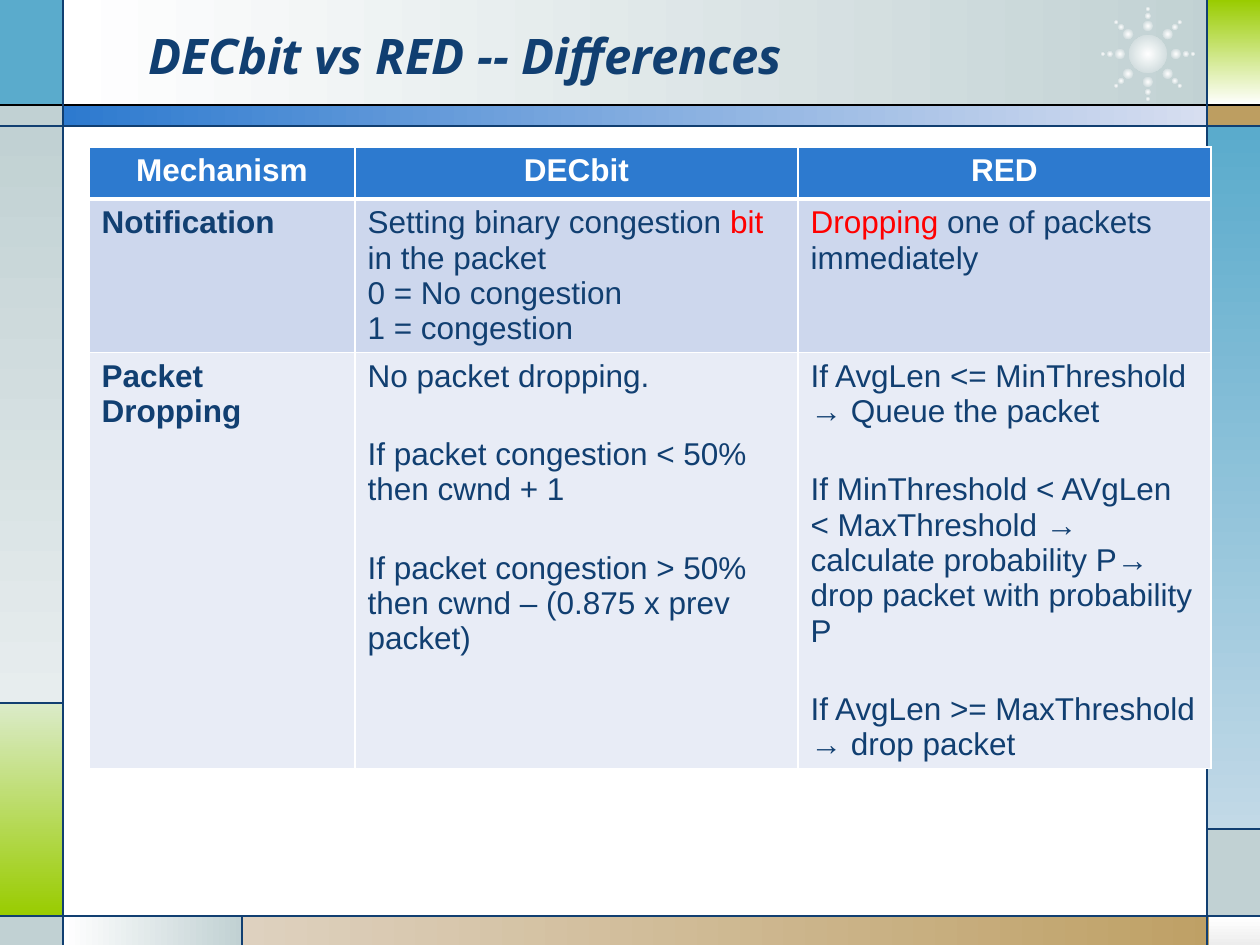
from math import cos, radians, sin
from typing import NamedTuple

from lxml.etree import SubElement
from pptx import Presentation
from pptx.dml.color import RGBColor
from pptx.enum.shapes import MSO_CONNECTOR, MSO_SHAPE
from pptx.enum.text import MSO_ANCHOR, MSO_AUTO_SIZE, PP_ALIGN
from pptx.oxml.ns import qn
from pptx.util import Emu, Pt

PX = 914400 // 126  # EMU per pixel

WHITE = RGBColor(0xFF, 0xFF, 0xFF)
BLACK = RGBColor(0, 0, 0)
RED = RGBColor(0xFF, 0, 0)
NAVY = RGBColor(0x11, 0x3F, 0x71)
BLUE = RGBColor(0x2D, 0x7A, 0xCF)
PALE_BLUE = RGBColor(0xD7, 0xDE, 0xF0)
SKY = RGBColor(0x5A, 0xAB, 0xCC)
PALE_SKY = RGBColor(0xC2, 0xD9, 0xE7)
GREY = RGBColor(0xC1, 0xD1, 0xD3)
PALE_GREY = RGBColor(0xE7, 0xED, 0xEE)
SILVER = RGBColor(0xED, 0xED, 0xED)
GREEN = RGBColor(0x99, 0xCC, 0x00)
PALE_GREEN = RGBColor(0xDB, 0xEB, 0xC9)
TAN = RGBColor(0xBD, 0x9E, 0x61)
PALE_TAN = RGBColor(0xDE, 0xD1, 0xBF)
ROW_DARK = RGBColor(0xCD, 0xD7, 0xED)
ROW_LIGHT = RGBColor(0xE8, 0xEC, 0xF6)

ACROSS, DOWN = 0, 270


class Panel(NamedTuple):
    left: int
    top: int
    width: int
    height: int
    start: RGBColor
    end: RGBColor | None = None
    angle: int = ACROSS


class Rule(NamedTuple):
    x1: int
    y1: int
    x2: int
    y2: int
    color: RGBColor = NAVY


class Run(NamedTuple):
    text: str
    color: RGBColor = NAVY
    bold: bool = False


class Row(NamedTuple):
    height: int
    fill: RGBColor
    cells: list[list[list[Run]]]  # cells, paragraphs, runs
    align: PP_ALIGN = PP_ALIGN.LEFT
    gap: float = 0  # points between paragraphs
    top_line: float = 1
    bottom_line: float = 1


PANELS = [
    Panel(63, 0, 1168, 105, WHITE, GREY),
    Panel(0, 0, 63, 105, SKY),
    Panel(0, 105, 63, 21, GREY),
    Panel(0, 126, 63, 577, GREY, PALE_GREY, DOWN),
    Panel(0, 703, 63, 213, PALE_GREEN, GREEN, DOWN),
    Panel(0, 916, 63, 29, GREY),
    Panel(63, 916, 179, 29, WHITE, GREY),
    Panel(242, 916, 1018, 29, PALE_TAN, TAN),
    Panel(1209, 916, 51, 29, WHITE, SILVER, DOWN),
    Panel(1208, 829, 52, 87, GREY),
    Panel(1208, 126, 52, 703, SKY, PALE_SKY, DOWN),
    Panel(1208, 105, 52, 21, TAN),
    Panel(1208, 0, 52, 105, GREEN, WHITE, DOWN),
    Panel(63, 105, 1145, 21, BLUE, PALE_BLUE),
]
RULES = [
    Rule(0, 105, 1260, 105, BLACK),
    Rule(0, 126, 1260, 126),
    Rule(0, 916, 1260, 916),
    Rule(63, 0, 63, 945),
    Rule(1207, 0, 1207, 945),
    Rule(63, 703, 0, 703),
    Rule(242, 916, 242, 945),
    Rule(1207, 829, 1260, 829),
]
STAR_CENTER = (1148, 54)
STAR_DOTS = [(28, 10), (38, 6), (45, 4)]  # distance from centre, diameter

COLUMNS = [266, 443, 413]
ROWS = [
    Row(52, BLUE, [[[Run(name, WHITE, True)]] for name in ("Mechanism", "DECbit", "RED")],
        align=PP_ALIGN.CENTER, bottom_line=3),
    Row(153, ROW_DARK, [
        [[Run("Notification", bold=True)]],
        [[Run("Setting binary congestion "), Run("bit", RED), Run(" in the packet ")],
         [Run("0 = No congestion")],
         [Run("1 = congestion")]],
        [[Run("Dropping", RED), Run(" one of packets immediately ")]],
    ], top_line=3),
    Row(381, ROW_LIGHT, [
        [[Run("Packet Dropping", bold=True)]],
        [[Run("No packet dropping.")],
         [Run("If packet congestion < 50% then cwnd + 1")],
         [Run("If packet congestion > 50% then cwnd – (0.875 x prev packet)")]],
        [[Run("If AvgLen <= MinThreshold → Queue the packet")],
         [Run("If MinThreshold < AVgLen < MaxThreshold → calculate probability P"
              "→ drop packet with probability P")],
         [Run("If AvgLen >= MaxThreshold → drop packet")]],
    ], gap=24.5),
]


def px(n: float) -> Emu:
    return Emu(round(n * PX))


def set_font(r, color: RGBColor, **values) -> None:
    for name, value in values.items():
        setattr(r.font, name, value)
    r.font.color.rgb = color


def add_panel(s, p: Panel, kind=MSO_SHAPE.RECTANGLE):
    sp = s.shapes.add_shape(kind, px(p.left), px(p.top), px(p.width), px(p.height))
    sp.shadow.inherit = False
    sp.line.fill.background()
    if p.end is None:
        sp.fill.solid()
        sp.fill.fore_color.rgb = p.start
    else:
        sp.fill.gradient()
        sp.fill.gradient_angle = p.angle
        for stop, color in zip(sp.fill.gradient_stops, (p.start, p.end)):
            stop.color.rgb = color
    return sp


def add_glow(s, x: float, y: float, size: int) -> None:
    sp = add_panel(s, Panel(x - size / 2, y - size / 2, size, size, WHITE, GREY), MSO_SHAPE.OVAL)
    # Radial gradient from the middle
    grad = sp._element.spPr.find(qn("a:gradFill"))
    grad.remove(grad.find(qn("a:lin")))
    radial = SubElement(grad, qn("a:path"), {"path": "circle"})
    SubElement(radial, qn("a:fillToRect"), {side: "50000" for side in "ltrb"})


def add_rule(s, rule: Rule) -> None:
    c = s.shapes.add_connector(MSO_CONNECTOR.STRAIGHT, px(rule.x1), px(rule.y1),
                               px(rule.x2), px(rule.y2))
    c.line.width = Pt(0.75)
    c.line.color.rgb = rule.color
    SubElement(c._element.spPr, qn("a:effectLst"))


def add_border(cell, side: str, width: float) -> None:
    ln = SubElement(cell._tc.get_or_add_tcPr(), qn(f"a:ln{side}"), {"w": str(Pt(width))})
    SubElement(SubElement(ln, qn("a:solidFill")), qn("a:srgbClr"), {"val": str(WHITE)})


def fill_cell(cell, row: Row, paragraphs: list[list[Run]]) -> None:
    for side, width in zip("LRTB", (1, 1, row.top_line, row.bottom_line)):
        add_border(cell, side, width)
    cell.fill.solid()
    cell.fill.fore_color.rgb = row.fill
    tf = cell.text_frame
    for i, runs in enumerate(paragraphs):
        p = tf.add_paragraph() if i else tf.paragraphs[0]
        p.alignment = row.align
        p.space_before = Pt(row.gap if i else 0)
        for run in runs:
            r = p.add_run()
            r.text = run.text
            set_font(r, run.color, name="Arial", size=Pt(18), bold=run.bold)


prs = Presentation()
prs.slide_width, prs.slide_height = px(1260), px(945)
s = prs.slides.add_slide(prs.slide_layouts[5])

# Frame
for panel in PANELS:
    add_panel(s, panel)

# Star
cx, cy = STAR_CENTER
add_glow(s, cx, cy, 38)
for arm in range(8):
    a = radians(45 * arm)
    for distance, size in STAR_DOTS:
        add_glow(s, cx + distance * cos(a), cy + distance * sin(a), size)

for rule in RULES:
    add_rule(s, rule)

# Title, brought in front of the frame
title = s.shapes.title
s.shapes._spTree.append(title._element)
title.left, title.top, title.width, title.height = px(136), px(16), px(924), px(78)
tf = title.text_frame
for name, value in {"auto_size": MSO_AUTO_SIZE.NONE, "word_wrap": True,
                    "vertical_anchor": MSO_ANCHOR.MIDDLE}.items():
    setattr(tf, name, value)
p = tf.paragraphs[0]
p.alignment = PP_ALIGN.LEFT
r = p.add_run()
r.text = "DECbit vs RED -- Differences"
set_font(r, NAVY, name="Open Sans", size=Pt(28), bold=True, italic=True)

# Comparison table
table = s.shapes.add_table(len(ROWS), len(COLUMNS), px(89), px(147), px(sum(COLUMNS)),
                           px(sum(row.height for row in ROWS))).table
for column, width in zip(table.columns, COLUMNS):
    column.width = px(width)
for i, row in enumerate(ROWS):
    table.rows[i].height = px(row.height)
    for j, paragraphs in enumerate(row.cells):
        fill_cell(table.cell(i, j), row, paragraphs)

prs.save("out.pptx")
